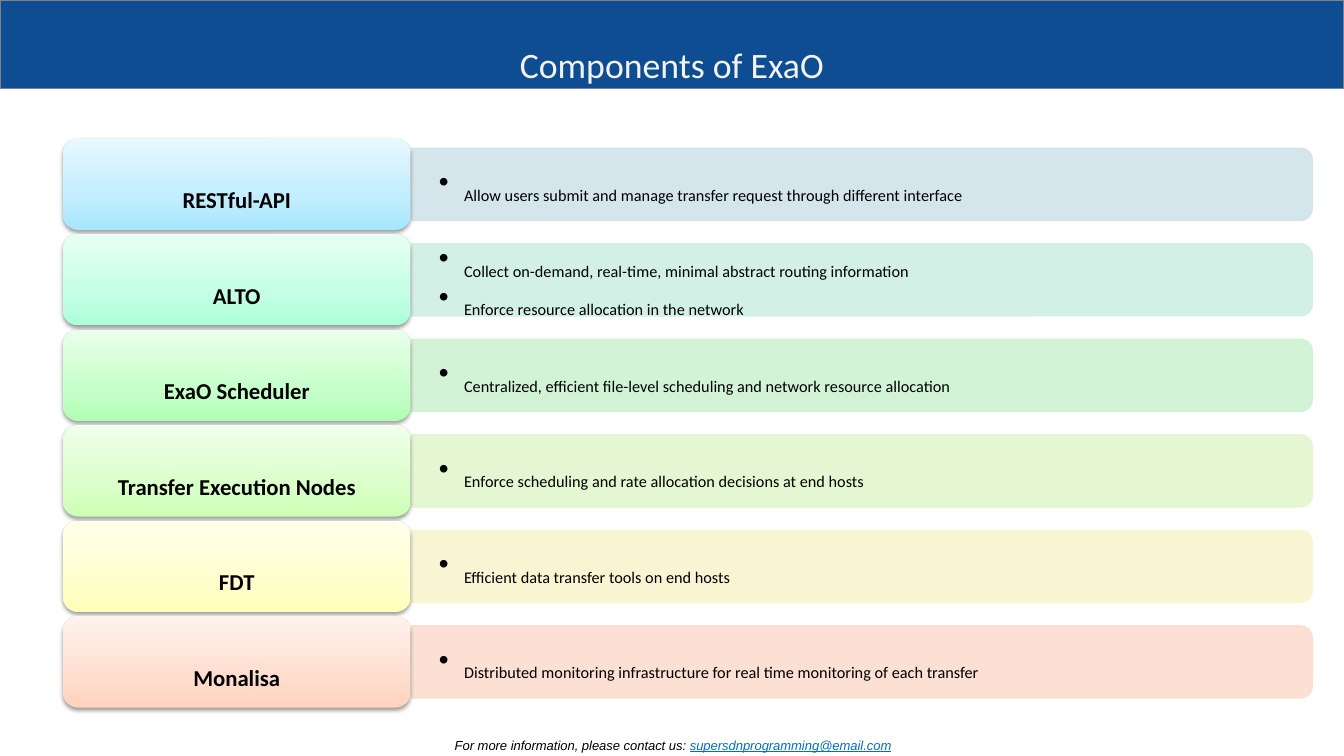
"""Builds the slide that lists the components of ExaO with their roles."""
from dataclasses import dataclass

from lxml.etree import SubElement
from pptx import Presentation
from pptx.dml.color import RGBColor
from pptx.enum.shapes import MSO_SHAPE as Preset
from pptx.enum.text import MSO_ANCHOR as Anchor, MSO_AUTO_SIZE as AutoSize, PP_ALIGN as Align
from pptx.oxml.ns import qn
from pptx.util import Emu, Pt

EMU_PER_PX = 9525
ROW_TOP, ROW_PITCH = 132, 91
LABEL_LEFT, LABEL_WIDTH, LABEL_HEIGHT = 60, 331, 87
BAR_LEFT, BAR_WIDTH, BAR_HEIGHT = 392, 858, 69
ROLE_WIDTH, ROLE_HEIGHT = 855, 62
BULLET_INDENT = 24


@dataclass(frozen=True)
class Component:
    name: str
    roles: tuple[str, ...]
    bar_colour: str
    gradient: tuple[str, str, str]


COMPONENTS = (
    Component("RESTful-API",
              ("Allow users submit and manage transfer request through different interface",),
              "D0E3EA", ("A7E6FF", "C1EDFF", "E7F8FF")),
    Component("ALTO",
              ("Collect on-demand, real-time, minimal abstract routing information",
               "Enforce resource allocation in the network"),
              "CFEFE5", ("ACFFD9", "C4FFE4", "E8FFF4")),
    Component("ExaO Scheduler",
              ("Centralized, efficient file-level scheduling and network resource allocation",),
              "CFF2D2", ("B0FFB4", "C7FFCA", "EAFFEB")),
    Component("Transfer Execution Nodes",
              ("Enforce scheduling and rate allocation decisions at end hosts",),
              "E2F6CE", ("CCFFB4", "DAFFCA", "F1FFEB")),
    Component("FDT",
              ("Efficient data transfer tools on end hosts",),
              "F9F5CF", ("FFFFB9", "FFFFCD", "FFFFEC")),
    Component("Monalisa",
              ("Distributed monitoring infrastructure for real time monitoring of each transfer",),
              "FCDDCF", ("FFD2BD", "FFDED0", "FFF2ED")),
)


def px(length: float) -> Emu:
    return Emu(round(length * EMU_PER_PX))


def colour(hex_value: str) -> RGBColor:
    return RGBColor.from_string(hex_value)


def box(left: float, top: float, width: float, height: float) -> tuple[Emu, Emu, Emu, Emu]:
    return px(left), px(top), px(width), px(height)


def add_run(paragraph, text: str, size: int, hex_value: str = "000000",
            font_name: str = "Calibri", **styles: bool) -> None:
    run = paragraph.add_run()
    run.text = text
    font = run.font
    font.name, font.size = font_name, Pt(size)
    font.color.rgb = colour(hex_value)
    for style, value in styles.items():
        setattr(font, style, value)
    run._r.get_or_add_rPr().set("baseline", "-25000")


def prepare_frame(frame, horizontal: int, vertical: int) -> None:
    frame.word_wrap = True
    frame.vertical_anchor = Anchor.MIDDLE
    frame.margin_left = frame.margin_right = px(horizontal)
    frame.margin_top = frame.margin_bottom = px(vertical)


def space_lines(paragraph, after_percent: int) -> None:
    paragraph.line_spacing = 0.9
    space_after = SubElement(paragraph._p.get_or_add_pPr(), qn("a:spcAft"))
    SubElement(space_after, qn("a:spcPct"), val=str(after_percent * 1000))


def add_bullet(paragraph) -> None:
    properties = paragraph._p.get_or_add_pPr()
    properties.set("marL", str(px(BULLET_INDENT)))
    properties.set("indent", str(px(-BULLET_INDENT)))
    SubElement(properties, qn("a:buFont"), typeface="Arial")
    SubElement(properties, qn("a:buChar"), char="•")


def add_bar(slide, top: int, hex_value: str) -> None:
    left = BAR_LEFT + (BAR_WIDTH - BAR_HEIGHT) / 2
    bar = slide.shapes.add_shape(
        Preset.ROUND_2_SAME_RECTANGLE,
        *box(left, top + (BAR_HEIGHT - BAR_WIDTH) / 2, BAR_HEIGHT, BAR_WIDTH))
    bar.rotation = 90
    bar.shadow.inherit = False
    bar.line.width = Pt(0.75)
    for fill in (bar.fill, bar.line.fill):
        fill.solid()
        fill.fore_color.rgb = colour(hex_value)
    for element in bar._element.spPr.iter(qn("a:srgbClr")):
        SubElement(element, qn("a:alpha"), val="90000")


def add_roles(slide, top: int, roles: tuple[str, ...]) -> None:
    frame = slide.shapes.add_textbox(*box(BAR_LEFT, top, ROLE_WIDTH, ROLE_HEIGHT)).text_frame
    prepare_frame(frame, 26, 13)
    for index, role in enumerate(roles):
        paragraph = frame.add_paragraph() if index else frame.paragraphs[0]
        paragraph.level = 1
        space_lines(paragraph, 15)
        add_bullet(paragraph)
        add_run(paragraph, role, 20)


def add_label(slide, top: int, component: Component) -> None:
    label = slide.shapes.add_shape(
        Preset.ROUNDED_RECTANGLE, *box(LABEL_LEFT, top, LABEL_WIDTH, LABEL_HEIGHT))
    label.line.fill.background()
    label.fill.gradient()
    label.fill.gradient_angle = 90
    properties = label._element.spPr
    stops = properties.find(".//" + qn("a:gsLst"))
    stops.clear()
    for position, hex_value in zip((0, 35, 100), component.gradient):
        stop = SubElement(stops, qn("a:gs"), pos=str(position * 1000))
        SubElement(stop, qn("a:srgbClr"), val=hex_value)
    label.shadow.inherit = False
    shadow = SubElement(properties.find(qn("a:effectLst")), qn("a:outerShdw"),
                        blurRad="40000", dist="20000", dir="5400000", rotWithShape="0")
    shadow_colour = SubElement(shadow, qn("a:srgbClr"), val="000000")
    SubElement(shadow_colour, qn("a:alpha"), val="38000")
    prepare_frame(label.text_frame, 15, 10)
    paragraph = label.text_frame.paragraphs[0]
    paragraph.alignment = Align.CENTER
    space_lines(paragraph, 35)
    add_run(paragraph, component.name, 28, bold=True)


def add_header(slide) -> None:
    band = slide.shapes.add_shape(Preset.RECTANGLE, *box(0, 0, 1280, 84))
    band.shadow.inherit = False
    band.fill.solid()
    band.fill.fore_color.rgb = colour("0F4D92")
    band.line.color.rgb = colour("808080")
    band.line.width = Pt(0.75)
    slide.shapes._spTree.insert(2, band._element)
    title = slide.shapes.title
    title.left, title.top, title.width, title.height = box(0, 1, 1280, 81)
    title.text_frame.auto_size = AutoSize.SHAPE_TO_FIT_TEXT
    paragraph = title.text_frame.paragraphs[0]
    paragraph.alignment = Align.CENTER
    add_run(paragraph, "Components of ExaO", 44, "F3F3F3")


def add_contact(slide) -> None:
    frame = slide.shapes.add_textbox(*box(106, 683, 1070, 36)).text_frame
    frame.word_wrap = True
    frame.auto_size = AutoSize.SHAPE_TO_FIT_TEXT
    paragraph = frame.paragraphs[0]
    paragraph.alignment = Align.CENTER
    add_run(paragraph, "For more information, please contact us: ", 16,
            font_name="Arial", italic=True)
    add_run(paragraph, "supersdnprogramming@email.com", 16, "0070C0",
            font_name="Arial", italic=True, underline=True)


def main() -> None:
    presentation = Presentation()
    presentation.slide_width, presentation.slide_height = px(1280), px(720)
    slide = presentation.slides.add_slide(presentation.slide_layouts[5])
    add_header(slide)
    for index, component in enumerate(COMPONENTS):
        top = ROW_TOP + index * ROW_PITCH
        add_bar(slide, top + (LABEL_HEIGHT - BAR_HEIGHT) // 2, component.bar_colour)
        add_roles(slide, top + (LABEL_HEIGHT - ROLE_HEIGHT) // 2, component.roles)
        add_label(slide, top, component)
    add_contact(slide)
    presentation.save("out.pptx")


if __name__ == "__main__":
    main()
